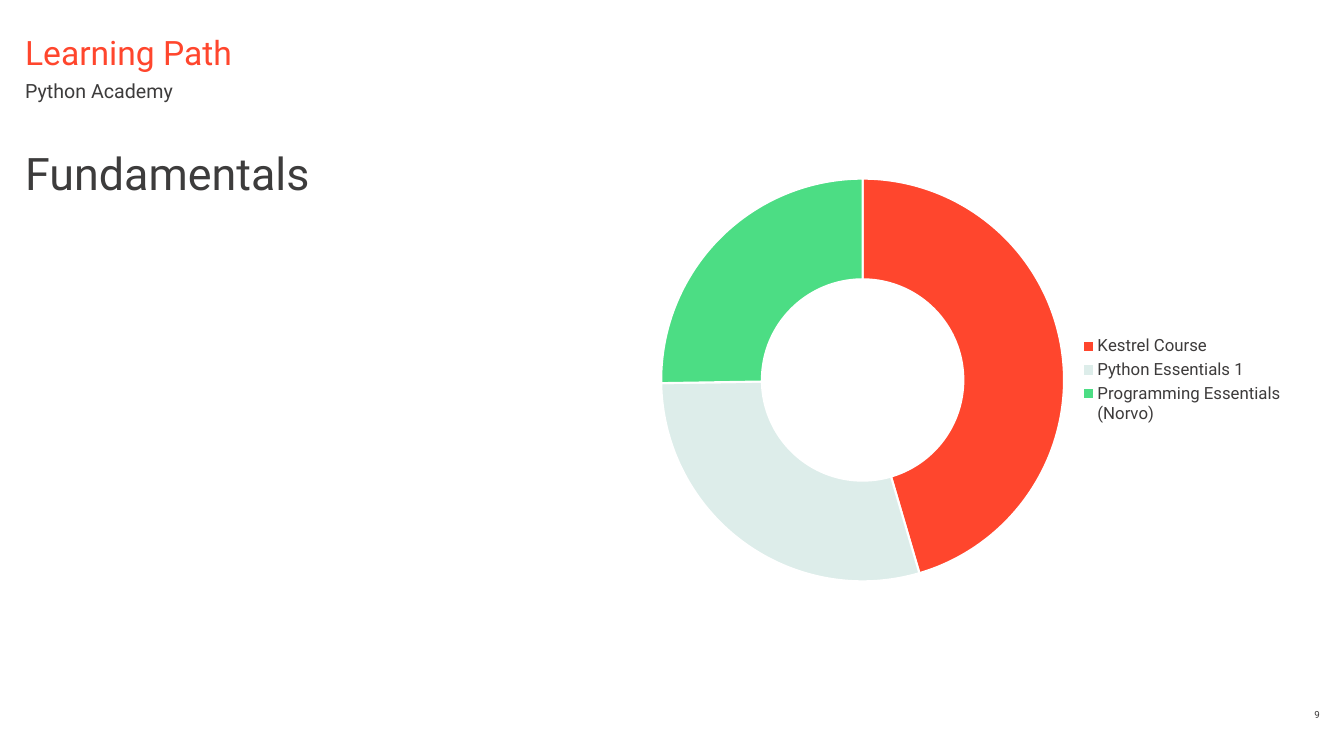
from dataclasses import dataclass

from pptx import Presentation
from pptx.chart.data import CategoryChartData
from pptx.dml.color import RGBColor
from pptx.enum.chart import XL_CHART_TYPE, XL_LEGEND_POSITION
from pptx.enum.text import MSO_ANCHOR, PP_ALIGN
from pptx.util import Inches, Pt


@dataclass(frozen=True)
class Theme:
    font: str = "Roboto"
    accent: str = "FF462D"
    mist: str = "DDEDEA"
    green: str = "4CDD84"
    white: str = "FFFFFF"
    text: str = "3D3C3C"
    muted: str = "3D3B3B"
    chart_text: str = "002313"
    heading_size: int = 32
    title_size: int = 24
    subtitle_size: int = 14
    legend_size: int = 12
    chart_size: int = 10
    number_size: int = 7


THEME = Theme()
COURSES = [
    ("Kestrel Course", 45, THEME.accent),
    ("Python Essentials 1", 29, THEME.mist),
    ("Programming Essentials (Norvo)", 25, THEME.green),
]


def style_font(font, size, color):
    font.name = THEME.font
    font.size = Pt(size)
    font.color.rgb = RGBColor.from_string(color)


def add_text(slide, text, box, size, color, align=PP_ALIGN.LEFT, anchor=MSO_ANCHOR.TOP):
    shape = slide.shapes.add_textbox(*map(Inches, box))
    frame = shape.text_frame
    frame.word_wrap = True
    frame.vertical_anchor = anchor
    frame.margin_left = frame.margin_right = Inches(0)
    frame.margin_top = frame.margin_bottom = Inches(0)
    frame.text = text
    paragraph = frame.paragraphs[0]
    paragraph.alignment = align
    style_font(paragraph.runs[0].font, size, color)


def add_doughnut(slide, courses, box):
    names, values, colors = zip(*courses)
    data = CategoryChartData()
    data.categories = names
    data.add_series("Series 1", values)
    chart = slide.shapes.add_chart(
        XL_CHART_TYPE.DOUGHNUT, *map(Inches, box), data
    ).chart
    chart.has_title = False
    style_font(chart.font, THEME.chart_size, THEME.chart_text)

    chart.has_legend = True
    chart.legend.position = XL_LEGEND_POSITION.RIGHT
    chart.legend.include_in_layout = False
    style_font(chart.legend.font, THEME.legend_size, THEME.muted)

    plot = chart.plots[0]
    plot.vary_by_categories = True
    for hole in plot._element.xpath("c:holeSize"):
        hole.set("val", "75")
    for index, color in enumerate(colors):
        segment = plot.series[0].points[index].format
        segment.fill.solid()
        segment.fill.fore_color.rgb = RGBColor.from_string(color)
        segment.line.color.rgb = RGBColor.from_string(THEME.white)
        segment.line.width = Pt(1.5)


def main():
    presentation = Presentation()
    presentation.slide_width = Inches(13.33)
    presentation.slide_height = Inches(7.5)
    slide = presentation.slides.add_slide(presentation.slide_layouts[6])

    add_doughnut(slide, COURSES, (6.42, 0.54, 6.42, 6.46))
    add_text(slide, "Fundamentals", (0.25, 1.45, 4.75, 2.3), THEME.heading_size, THEME.text)
    add_text(slide, "9", (12.81, 6.91, 0.28, 0.24), THEME.number_size, THEME.muted,
             PP_ALIGN.RIGHT, MSO_ANCHOR.BOTTOM)
    add_text(slide, "Learning Path", (0.25, 0.32, 6.17, 0.31), THEME.title_size, THEME.accent)
    add_text(slide, "Python Academy", (0.25, 0.78, 6.17, 0.34), THEME.subtitle_size, THEME.text)

    presentation.save("out.pptx")


if __name__ == "__main__":
    main()
